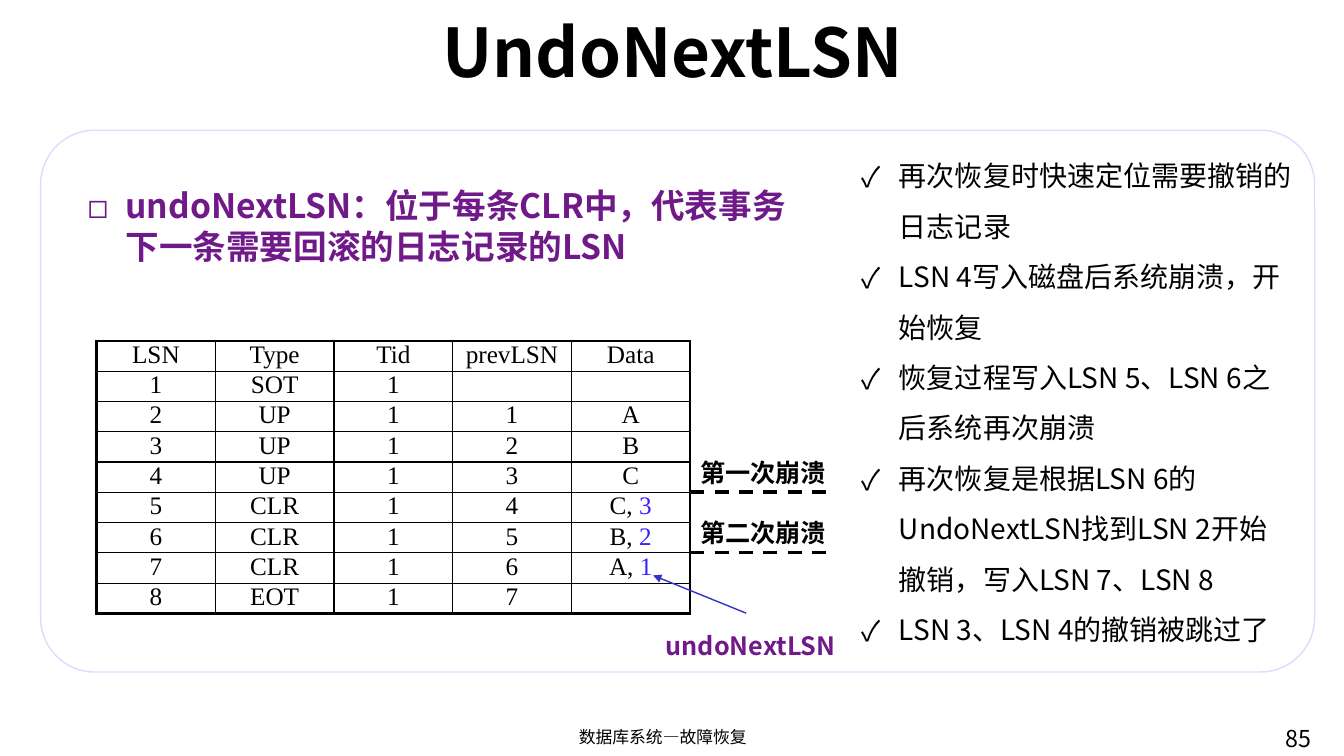
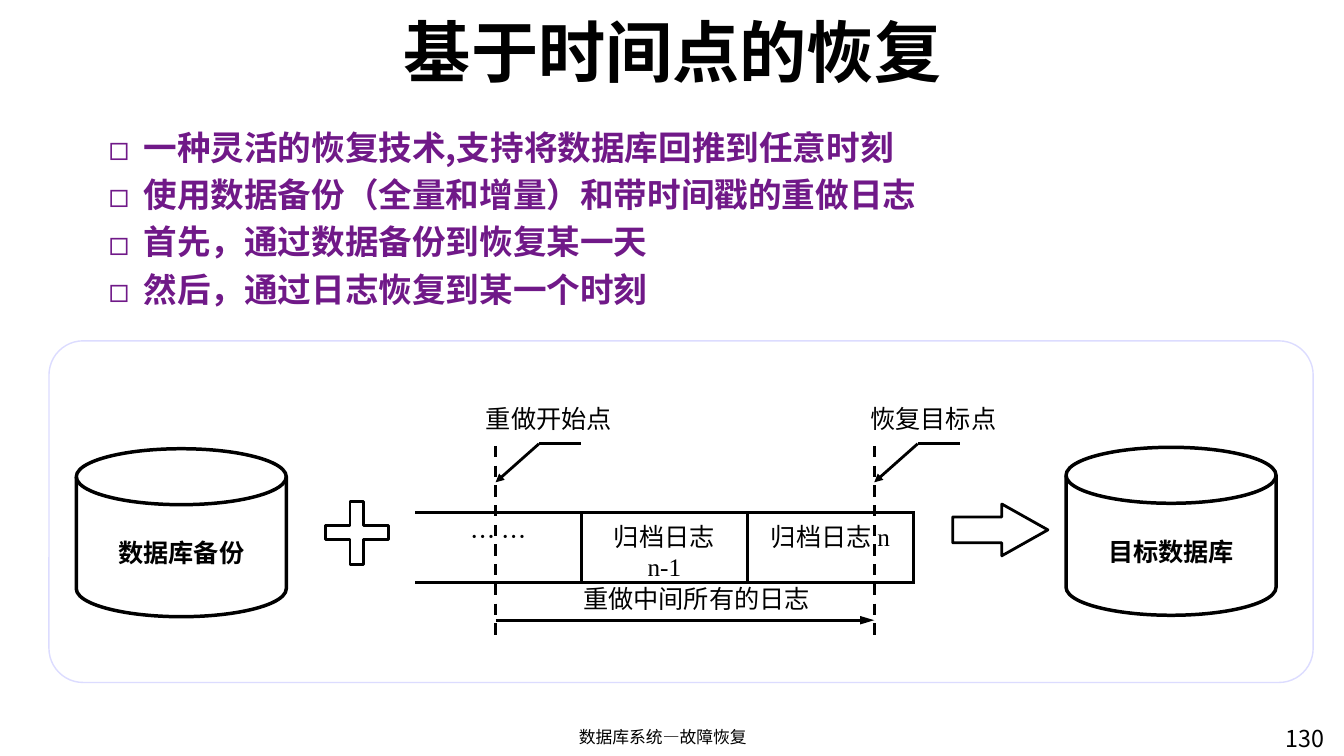
import dataclasses

import lxml.etree
import pptx
import pptx.dml.color
import pptx.enum.dml
import pptx.enum.shapes
import pptx.enum.text
import pptx.oxml.ns
import pptx.util

Pt = pptx.util.Pt
RGB = pptx.dml.color.RGBColor
SHAPE = pptx.enum.shapes.MSO_SHAPE
ALIGN = pptx.enum.text.PP_ALIGN
ANCHOR = pptx.enum.text.MSO_ANCHOR


@dataclasses.dataclass(frozen=True)
class Theme:
    black: str = "000000"
    white: str = "FFFFFF"
    purple: str = "701988"
    blue: str = "3B20FF"
    pointer: str = "3333CC"
    outline: str = "DCDCFF"
    sans: str = "Noto Sans CJK SC"
    serif: str = "Times New Roman"
    title: float = 48
    heading: float = 24
    body: float = 20
    label: float = 18
    number: float = 16.6
    footer: float = 12
    leading: float = 1.22
    list_leading: float = 1.8


THEME = Theme()


# Helpers
def add_element(parent, tag, **attributes):
    return lxml.etree.SubElement(parent, pptx.oxml.ns.qn(tag), **attributes)


def write(frame, paragraphs, size=THEME.label, color=THEME.black, bold=False,
          font=THEME.sans, align=ALIGN.LEFT, leading=THEME.leading,
          bullet=None, indent=0, before=0):
    """Fill a frame; a paragraph is a string or a list of (text, overrides)."""
    for index, content in enumerate(paragraphs):
        para = frame.paragraphs[0] if index == 0 else frame.add_paragraph()
        if bullet:
            properties = para._p.get_or_add_pPr()
            properties.set("marL", str(Pt(indent)))
            properties.set("indent", str(-Pt(indent)))
            add_element(properties, "a:buFont", typeface=THEME.sans)
            add_element(properties, "a:buChar", char=bullet)
        para.alignment = align
        if leading:
            para.line_spacing = Pt(size * leading)
        if before and index:
            para.space_before = Pt(before)
        spans = [(content, {})] if isinstance(content, str) else content
        for text, changes in spans:
            span = para.add_run()
            span.text = text
            span.font.size = Pt(size)
            span.font.bold = bold
            span.font.color.rgb = RGB.from_string(changes.get("color", color))
            span.font.name = changes.get("font", font)
            add_element(span._r.get_or_add_rPr(), "a:ea", typeface=THEME.sans)


def add_text(page, left, top, width, height, paragraphs, anchor=ANCHOR.TOP, **style):
    box = page.shapes.add_textbox(Pt(left), Pt(top), Pt(width), Pt(height))
    box.text_frame.word_wrap = True
    box.text_frame.vertical_anchor = anchor
    write(box.text_frame, paragraphs, **style)


def add_shape(page, kind, left, top, width, height, line=THEME.black,
              weight=2, fill=None, adjustments=()):
    shape = page.shapes.add_shape(kind, Pt(left), Pt(top), Pt(width), Pt(height))
    shape.shadow.inherit = False
    if fill:
        shape.fill.solid()
        shape.fill.fore_color.rgb = RGB.from_string(fill)
    else:
        shape.fill.background()
    shape.line.color.rgb = RGB.from_string(line)
    shape.line.width = Pt(weight)
    for index, value in enumerate(adjustments):
        shape.adjustments[index] = value
    return shape


def add_panel(page, left, top, width, height):
    add_shape(page, SHAPE.ROUNDED_RECTANGLE, left, top, width, height,
              line=THEME.outline, weight=1, fill=THEME.white, adjustments=[0.1])


def add_database(page, left, top, name):
    disk = add_shape(page, SHAPE.FLOWCHART_MAGNETIC_DISK, left, top, 150, 120,
                     weight=2.5)
    frame = disk.text_frame
    frame.margin_top, frame.margin_bottom = Pt(8), 0
    frame.vertical_anchor = ANCHOR.MIDDLE
    write(frame, [name], bold=True, align=ALIGN.CENTER)


def add_line(page, start, end, weight=2, color=THEME.black, dashed=False,
             arrow=False, arrow_length="med"):
    line = page.shapes.add_connector(
        pptx.enum.shapes.MSO_CONNECTOR.STRAIGHT,
        Pt(start[0]), Pt(start[1]), Pt(end[0]), Pt(end[1]))
    line.line.color.rgb = RGB.from_string(color)
    line.line.width = Pt(weight)
    if dashed:
        line.line.dash_style = pptx.enum.dml.MSO_LINE.DASH
    if arrow:
        add_element(line.line._get_or_add_ln(), "a:tailEnd", type="triangle",
                    w="med", len=arrow_length)
    add_element(line._element.spPr, "a:effectLst")


def add_callout(page, x, text_left, text):
    """Arrow with a flat end that points at the timeline, and its label."""
    bend = (x + 31, 317)
    add_line(page, bend, (x, 344.5), arrow=True)
    add_line(page, bend, (x + 61, 317))
    add_text(page, text_left, 284, 120, 29, [text])


def set_borders(cell, left, right, top, bottom):
    properties = cell._tc.get_or_add_tcPr()
    sides = {"a:lnL": left, "a:lnR": right, "a:lnT": top, "a:lnB": bottom}
    for tag, weight in sides.items():
        border = add_element(properties, tag, w=str(Pt(weight)))
        if weight:
            fill = add_element(border, "a:solidFill")
            add_element(fill, "a:srgbClr", val=THEME.black)
        else:
            add_element(border, "a:noFill")


def add_grid(page, left, top, column_width, row_height, rows, margins,
             inner, outer, left_edge, **style):
    """Table with inner and outer rules; margins are side, top, bottom."""
    row_count, column_count = len(rows), len(rows[0])
    table = page.shapes.add_table(
        row_count, column_count, Pt(left), Pt(top),
        Pt(column_width * column_count), Pt(row_height * row_count)).table
    table.first_row = table.horz_banding = False
    for column in table.columns:
        column.width = Pt(column_width)
    for r, values in enumerate(rows):
        table.rows[r].height = Pt(row_height)
        for c, value in enumerate(values):
            cell = table.cell(r, c)
            set_borders(cell,
                        left=inner if c else left_edge,
                        right=outer if c == column_count - 1 else inner,
                        top=inner if r else outer,
                        bottom=outer if r == row_count - 1 else inner)
            cell.fill.background()
            cell.margin_left = cell.margin_right = Pt(margins[0])
            cell.margin_top, cell.margin_bottom = Pt(margins[1]), Pt(margins[2])
            if value:
                write(cell.text_frame, [value], align=ALIGN.CENTER,
                      leading=None, **style)
            else:
                add_element(cell.text_frame.paragraphs[0]._p, "a:endParaRPr",
                            sz="1200")


def add_page(deck, title, number):
    """Blank page with the shared title, footer and page number."""
    page = deck.slides.add_slide(deck.slide_layouts[6])
    add_text(page, 83, 9, 795, 53, [title], anchor=ANCHOR.MIDDLE,
             size=THEME.title, bold=True, align=ALIGN.CENTER)
    add_text(page, 322, 515.5, 303, 24, ["数据库系统—故障恢复"],
             size=THEME.footer, align=ALIGN.CENTER)
    add_text(page, 911, 513.5, 49, 26, [number], size=THEME.number)
    return page


# Slide on undoNextLSN
def build_undo_page(deck):
    page = add_page(deck, "UndoNextLSN", "85")
    add_panel(page, 29, 93, 910, 387)
    add_text(page, 608, 98, 324, 380, [
        "再次恢复时快速定位需要撤销的日志记录",
        "LSN 4写入磁盘后系统崩溃，开始恢复",
        "恢复过程写入LSN 5、LSN 6之后系统再次崩溃",
        "再次恢复是根据LSN 6的UndoNextLSN找到LSN 2开始撤销，写入LSN 7、LSN 8",
        "LSN 3、LSN 4的撤销被跳过了",
    ], size=THEME.body, leading=THEME.list_leading, bullet="✓", indent=27)
    add_text(page, 55.5, 128, 533, 66,
             ["undoNextLSN：位于每条CLR中，代表事务下一条需要回滚的日志记录的LSN"],
             size=THEME.heading, color=THEME.purple, bold=True,
             bullet="◻", indent=27)

    # Log table
    def undo(item, target):
        return [(item + ", ", {}), (target, {"color": THEME.blue})]

    left, top, column_width, row_height = 69, 243.5, 84.8, 21.6
    log = [
        ["LSN", "Type", "Tid", "prevLSN", "Data"],
        ["1", "SOT", "1", "", ""],
        ["2", "UP", "1", "1", "A"],
        ["3", "UP", "1", "2", "B"],
        ["4", "UP", "1", "3", "C"],
        ["5", "CLR", "1", "4", undo("C", "3")],
        ["6", "CLR", "1", "5", undo("B", "2")],
        ["7", "CLR", "1", "6", undo("A", "1")],
        ["8", "EOT", "1", "7", ""],
    ]
    add_grid(page, left, top, column_width, row_height, log,
             margins=(3.6, 0, 0), inner=1, outer=2.25, left_edge=2.25,
             font=THEME.serif)

    # Crash marks
    right = left + column_width * len(log[0])
    for rows_above, text in [(5, "第一次崩溃"), (7, "第二次崩溃")]:
        y = top + row_height * rows_above
        add_line(page, (right, y), (right + 101, y), weight=2.5, dashed=True)
        add_text(page, right, y - 29, 127, 29, [text], bold=True)

    # Pointer to the last undo target
    add_line(page, (533, 438), (466.5, 411), weight=1, color=THEME.pointer,
             arrow=True)
    add_text(page, 468.5, 446.5, 150, 29, ["undoNextLSN"],
             color=THEME.purple, bold=True)


# Slide on point-in-time recovery
def build_recovery_page(deck):
    page = add_page(deck, "基于时间点的恢复", "130")
    add_panel(page, 35, 243.5, 903, 244)
    add_text(page, 70.5, 86.5, 856, 145, [
        "一种灵活的恢复技术,支持将数据库回推到任意时刻",
        "使用数据备份（全量和增量）和带时间戳的重做日志",
        "首先，通过数据备份到恢复某一天",
        "然后，通过日志恢复到某一个时刻",
    ], size=THEME.heading, color=THEME.purple, bold=True,
        bullet="◻", indent=25, before=4.5)

    # Backup plus logs gives the target
    add_database(page, 54.5, 320.5, "数据库备份")
    add_shape(page, SHAPE.CROSS, 232.5, 358, 45, 45, adjustments=[0.39])
    add_shape(page, SHAPE.RIGHT_ARROW, 680.5, 360, 68, 37,
              adjustments=[0.5, 0.89])
    add_database(page, 761.5, 319.5, "目标数据库")

    # Archived logs
    serif = {"font": THEME.serif}
    logs = ["… …",
            [("归档日志 ", {}), ("n-1", serif)],
            [("归档日志 ", {}), ("n", serif)]]
    add_grid(page, 296.5, 366, 118.7, 50, [logs], margins=(10, 3.6, 0),
             inner=2.25, outer=2.25, left_edge=0)

    # Redo range
    redo_start, target = 354, 624.5
    for x in (redo_start, target):
        add_line(page, (x, 318.5), (x, 458.5), dashed=True)
    add_line(page, (redo_start, 443), (target, 443), arrow=True,
             arrow_length="lg")
    add_callout(page, redo_start, 340, "重做开始点")
    add_callout(page, target, 614.5, "恢复目标点")
    add_text(page, 409.5, 413, 225, 29, ["重做中间所有的日志"])


def main():
    deck = pptx.Presentation()
    deck.slide_width, deck.slide_height = Pt(960), Pt(540)
    build_undo_page(deck)
    build_recovery_page(deck)
    deck.save("out.pptx")


if __name__ == "__main__":
    main()
